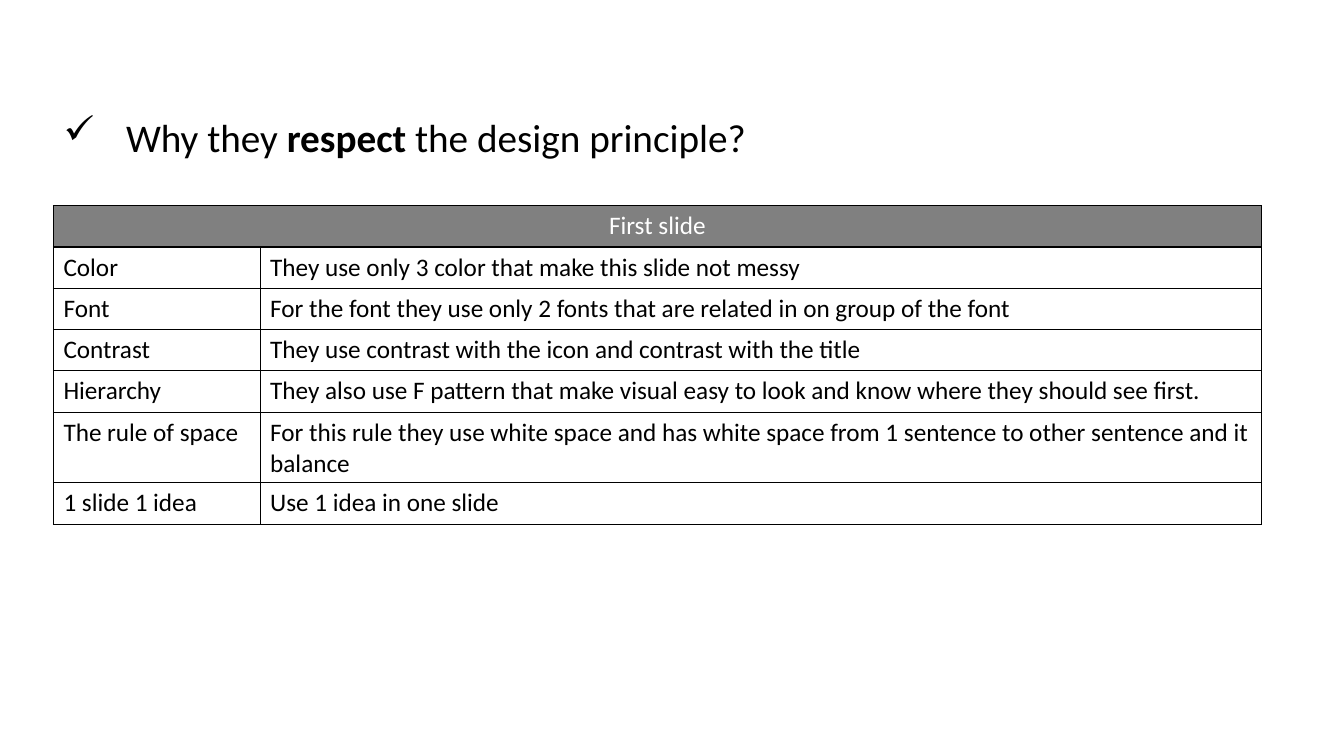
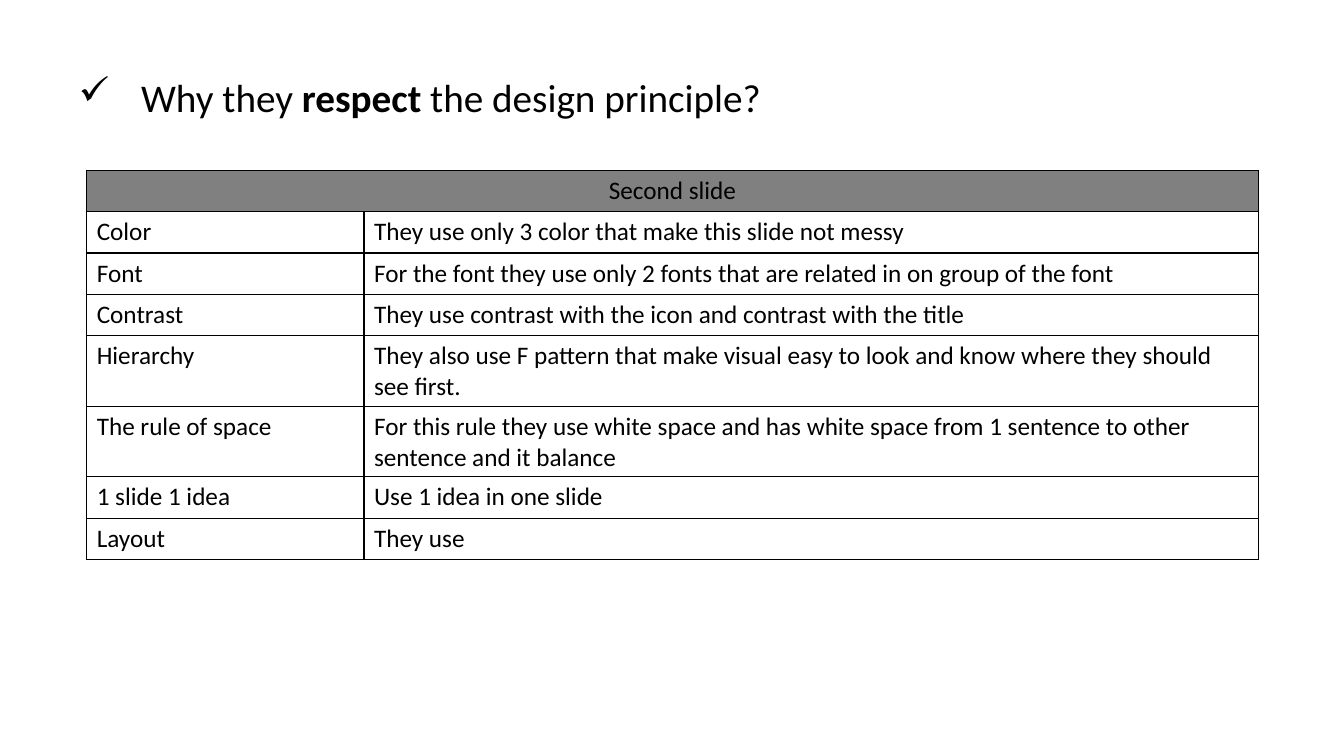
from lxml.etree import SubElement
from pptx import Presentation
from pptx.dml.color import RGBColor
from pptx.enum.text import MSO_ANCHOR, MSO_AUTO_SIZE, PP_ALIGN
from pptx.oxml.ns import qn
from pptx.util import Emu, Pt

FONT = "Calibri"
BLACK, WHITE, GRAY = "000000", "FFFFFF", "808080"
ROW_HEIGHT = 41
TITLE_HEIGHT = 57
TITLE_INDENT = 62
TITLE_RUNS = [("Why they ", False), ("respect", True), (" the design principle?", False)]
PRINCIPLES = [
    ("Color", "They use only 3 color that make this slide not messy"),
    ("Font", "For the font they use only 2 fonts that are related in on group of the font"),
    ("Contrast", "They use contrast with the icon and contrast with the title"),
    ("Hierarchy", "They also use F pattern that make visual easy to look and know "
                  "where they should see first."),
    ("The rule of space", "For this rule they use white space and has white space from "
                          "1 sentence to other sentence and it balance"),
    ("1 slide 1 idea", "Use 1 idea in one slide"),
]


def px(n):
    """Convert px, at 100 to the inch, to EMU."""
    return Emu(n * 9144)


def rgb(color):
    return RGBColor.from_string(color)


def add_run(p, text, size, color=BLACK, bold=False):
    r = p.add_run()
    r.text = text
    r.font.name = FONT
    r.font.size = Pt(size)
    r.font.bold = bold
    r.font.color.rgb = rgb(color)


def set_bullet(p, char, indent):
    pPr = p._p.get_or_add_pPr()
    pPr.set("marL", str(px(indent)))
    pPr.set("indent", str(-px(indent)))
    SubElement(pPr, qn("a:buChar"), char=char)


def set_title(s, left, top, width):
    title = s.shapes.title
    title.left, title.top = px(left), px(top)
    title.width, title.height = px(width), px(TITLE_HEIGHT)
    tf = title.text_frame
    tf.word_wrap = True
    tf.auto_size = MSO_AUTO_SIZE.SHAPE_TO_FIT_TEXT
    tf.vertical_anchor = MSO_ANCHOR.TOP
    p = tf.paragraphs[0]
    p.alignment = PP_ALIGN.LEFT
    set_bullet(p, "✓", TITLE_INDENT)
    for text, bold in TITLE_RUNS:
        add_run(p, text, 28, bold=bold)


def set_borders(cell):
    tcPr = cell._tc.get_or_add_tcPr()
    for side in ("lnL", "lnR", "lnT", "lnB"):
        ln = SubElement(tcPr, qn(f"a:{side}"), w=str(Pt(1)))
        fill = SubElement(ln, qn("a:solidFill"))
        SubElement(fill, qn("a:srgbClr"), val=BLACK)


def add_principle_table(s, left, top, col_widths, heading, heading_color, rows):
    frame = s.shapes.add_table(len(rows) + 1, len(col_widths), px(left), px(top),
                               px(sum(col_widths)), px(ROW_HEIGHT * (len(rows) + 1)))
    table = frame.table
    table.first_row = table.horz_banding = False
    for column, width in zip(table.columns, col_widths):
        column.width = px(width)
    for cell in table.iter_cells():
        set_borders(cell)
        cell.fill.background()

    header = table.cell(0, 0)
    header.merge(table.cell(0, len(col_widths) - 1))
    header.fill.solid()
    header.fill.fore_color.rgb = rgb(GRAY)
    header.vertical_anchor = MSO_ANCHOR.MIDDLE
    p = header.text_frame.paragraphs[0]
    p.alignment = PP_ALIGN.CENTER
    add_run(p, heading, 18, heading_color)

    for i, row in enumerate(rows, 1):
        for j, text in enumerate(row):
            add_run(table.cell(i, j).text_frame.paragraphs[0], text, 18)


def add_title_slide(prs, left, top, width):
    s = prs.slides.add_slide(prs.slide_layouts.get_by_name("Title Only"))
    set_title(s, left, top, width)
    return s


def main():
    prs = Presentation()
    prs.slide_width, prs.slide_height = px(1333), px(750)

    s = add_title_slide(prs, 53, 107, 1017)
    add_principle_table(s, 53, 204, (205, 993), "First slide", WHITE, PRINCIPLES)

    s = add_title_slide(prs, 68, 68, 752)
    add_principle_table(s, 86, 169, (275, 887), "Second slide", BLACK,
                        PRINCIPLES + [("Layout", "They use")])

    prs.save("out.pptx")


if __name__ == "__main__":
    main()
